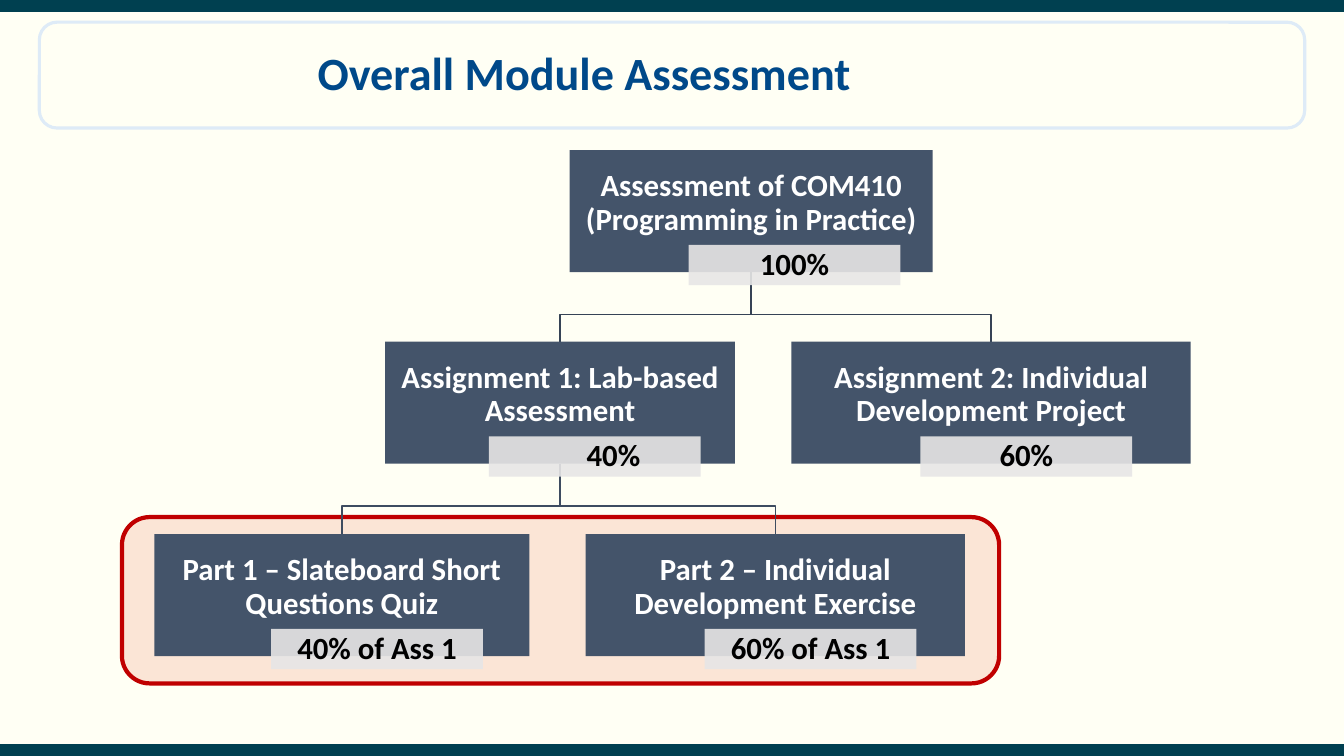
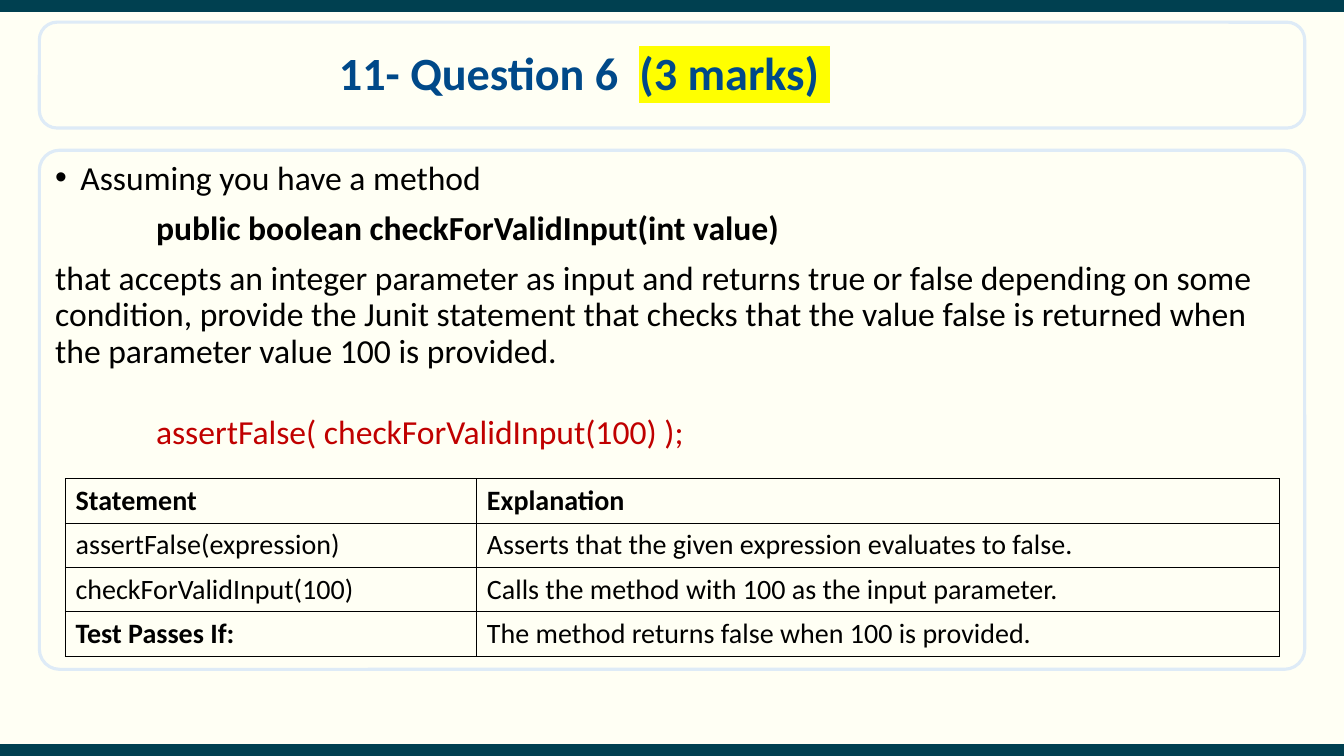
"""Build two teaching slides: an assessment tree and an exam question."""
import dataclasses

import lxml.etree
import pptx
import pptx.dml.color
import pptx.enum.shapes
import pptx.enum.text
import pptx.oxml.ns
import pptx.util

Inches = pptx.util.Inches
Pt = pptx.util.Pt
qn = pptx.oxml.ns.qn
SubElement = lxml.etree.SubElement
Shapes = pptx.enum.shapes.MSO_SHAPE
Align = pptx.enum.text.PP_ALIGN
Anchor = pptx.enum.text.MSO_ANCHOR


@dataclasses.dataclass(frozen=True)
class Theme:
    font: str = "Calibri"
    background: str = "FFFFF4"
    band: str = "004050"
    frame: str = "DEEBF7"
    title: str = "004989"
    text: str = "000000"
    accent: str = "C00000"
    highlight: str = "FFFF00"
    box: str = "44546A"
    box_text: str = "FFFFFF"
    weight: str = "E7E6E6"
    panel: str = "FBE5D6"
    branches: tuple = ("364355", "3E4C60")
    title_size: int = 33
    body_size: int = 24
    box_size: int = 22
    table_size: int = 20


THEME = Theme()
WIDTH, HEIGHT = 13.33, 7.5
BAND_CENTRES = (0.06, HEIGHT - 0.06)
FRAME = (0.39, 0.22, 12.55, 1.05)
TITLE = (0.39, 0.22, 10.81, 1.05)
BODY = (0.39, 1.49, 12.55, 5.15)
PANEL = (1.21, 5.13, 8.7, 1.65)

LEVEL_TOPS = (1.49, 3.39, 5.3)
BOX_HEIGHT = 1.21
WEIGHT_SIZE = (2.1, 0.4)
WEIGHT_DROP = 0.94
BRANCH_DROP = 0.42

ASSESSMENTS = {
    "module": dict(parent=None, level=0, left=5.65, width=3.6, weight_left=6.83, weight="100%",
                   text="Assessment of COM410 (Programming in Practice)"),
    "lab": dict(parent="module", level=1, left=3.82, width=3.47, weight_left=4.85, weight="40%",
                text="Assignment 1: Lab-based Assessment", weight_inset=0.6),
    "quiz": dict(parent="lab", level=2, left=1.53, width=3.72, weight_left=2.69,
                 weight="40% of Ass 1", text="Part 1 – Slateboard Short Questions Quiz"),
    "exercise": dict(parent="lab", level=2, left=5.81, width=3.76, weight_left=6.99,
                     weight="60% of Ass 1", text="Part 2 – Individual Development Exercise"),
    "project": dict(parent="module", level=1, left=7.85, width=3.96, weight_left=9.13, weight="60%",
                    text="Assignment 2: Individual Development Project"),
}

QUESTION = [
    dict(text="Assuming you have a method", margin=0.25, bullet="•"),
    dict(text="public boolean checkForValidInput(int value)", margin=1, bold=True),
    dict(text="that accepts an integer parameter as input and returns true or false depending on some "
              "condition, provide the Junit statement that checks that the value false is returned when "
              "the parameter value 100 is provided."),
    dict(text="assertFalse( checkForValidInput(100) );", margin=1, before=32, color=THEME.accent),
]

TABLE_PLACE = (0.65, 4.75)
TABLE_COLUMNS = (4.08, 7.96)
TABLE_ROW_HEIGHT = 0.44
TABLE_ROWS = [
    ("Statement", "Explanation"),
    ("assertFalse(expression)", "Asserts that the given expression evaluates to false."),
    ("checkForValidInput(100)", "Calls the method with 100 as the input parameter."),
    ("Test Passes If:", "The method returns false when 100 is provided."),
]
BOLD_CELLS = {(0, 0), (0, 1), (3, 0)}


def rgb(color):
    return pptx.dml.color.RGBColor.from_string(color)


def set_line(line, color, width):
    line.color.rgb = rgb(color)
    line.width = Pt(width)


def add_run(paragraph, text, size, color, bold=False, highlight=None):
    run = paragraph.add_run()
    run.text = text
    run.font.size = Pt(size)
    run.font.bold = bold
    run.font.color.rgb = rgb(color)
    run.font.name = THEME.font
    if highlight:
        properties = run.font._element
        marker = lxml.etree.Element(qn("a:highlight"))
        SubElement(marker, qn("a:srgbClr"), val=highlight)
        properties.find(qn("a:solidFill")).addnext(marker)


def add_box(slide, place, kind=Shapes.RECTANGLE, fill=None, line=None, line_width=2.25):
    shape = slide.shapes.add_shape(kind, *map(Inches, place))
    shape.shadow.inherit = False
    if fill:
        shape.fill.solid()
        shape.fill.fore_color.rgb = rgb(fill)
    else:
        shape.fill.background()
    if line:
        set_line(shape.line, line, line_width)
    else:
        shape.line.fill.background()
    return shape


def set_frame(shape, margins, anchor=Anchor.MIDDLE):
    frame = shape.text_frame
    frame.word_wrap = True
    frame.vertical_anchor = anchor
    frame.margin_left, frame.margin_top, frame.margin_right, frame.margin_bottom = map(Inches, margins)
    paragraph = frame.paragraphs[0]
    paragraph.alignment = Align.CENTER
    paragraph.line_spacing = 0.9
    return paragraph


def add_slide(presentation, title_runs):
    slide = presentation.slides.add_slide(presentation.slide_layouts[6])
    add_box(slide, FRAME, Shapes.ROUNDED_RECTANGLE, line=THEME.frame)
    for centre in BAND_CENTRES:
        band = slide.shapes.add_connector(
            pptx.enum.shapes.MSO_CONNECTOR.STRAIGHT, 0, Inches(centre), Inches(WIDTH), Inches(centre))
        set_line(band.line, THEME.band, 9)
        SubElement(band._element.spPr, qn("a:effectLst"))
    title = slide.shapes.add_textbox(*map(Inches, TITLE))
    paragraph = set_frame(title, (0.1, 0.05, 0.1, 0.05))
    for text, highlight in title_runs:
        add_run(paragraph, text, THEME.title_size, THEME.title, True, highlight)
    return slide


def add_branch(slide, parent, child):
    start_x, end_x = (item["left"] + item["width"] / 2 for item in (parent, child))
    start_y = LEVEL_TOPS[parent["level"]] + BOX_HEIGHT
    turn_y = start_y + BRANCH_DROP
    points = [(start_x, turn_y), (end_x, turn_y), (end_x, LEVEL_TOPS[child["level"]])]
    builder = slide.shapes.build_freeform(Inches(start_x), Inches(start_y))
    builder.add_line_segments([(Inches(x), Inches(y)) for x, y in points], close=False)
    branch = builder.convert_to_shape()
    branch.shadow.inherit = False
    branch.fill.background()
    set_line(branch.line, THEME.branches[parent["level"]], 1)


def add_assessment(slide, item):
    top = LEVEL_TOPS[item["level"]]
    box = add_box(slide, (item["left"], top, item["width"], BOX_HEIGHT), fill=THEME.box)
    paragraph = set_frame(box, (0.02, 0.02, 0.02, 0.17))
    add_run(paragraph, item["text"], THEME.box_size, THEME.box_text, True)

    weight = add_box(slide, (item["weight_left"], top + WEIGHT_DROP, *WEIGHT_SIZE), fill=THEME.weight)
    color = weight._element.spPr.find(qn("a:solidFill")).find(qn("a:srgbClr"))
    SubElement(color, qn("a:alpha"), val="90000")
    inset = item.get("weight_inset", 0.06)
    paragraph = set_frame(weight, (0.06, 0.02, inset, 0.02))
    if "weight_inset" in item:
        paragraph.alignment = Align.RIGHT
    add_run(paragraph, item["weight"], THEME.box_size, THEME.text, True)


def add_question(slide):
    body = add_box(slide, BODY, Shapes.ROUNDED_RECTANGLE, line=THEME.frame)
    body.adjustments[0] = 0.039
    paragraph = set_frame(body, (0.1, 0.05, 0.1, 0.05), Anchor.TOP)
    for index, item in enumerate(QUESTION):
        if index:
            paragraph = body.text_frame.add_paragraph()
        paragraph.alignment = Align.LEFT
        paragraph.line_spacing = 0.9
        paragraph.space_before = Pt(item.get("before", 10))
        properties = paragraph._element.get_or_add_pPr()
        margin = Inches(item.get("margin", 0))
        properties.set("marL", str(margin))
        if "bullet" in item:
            properties.set("indent", str(-margin))
            SubElement(properties, qn("a:buFont"), typeface="Arial")
            SubElement(properties, qn("a:buChar"), char=item["bullet"])
        add_run(paragraph, item["text"], THEME.body_size, item.get("color", THEME.text),
                item.get("bold", False))


def set_borders(cell):
    properties = cell._tc.get_or_add_tcPr()
    for position, side in enumerate(("lnL", "lnR", "lnT", "lnB")):
        border = lxml.etree.Element(qn(f"a:{side}"), w=str(Pt(1)))
        fill = SubElement(border, qn("a:solidFill"))
        SubElement(fill, qn("a:srgbClr"), val=THEME.text)
        properties.insert(position, border)


def add_explanations(slide):
    size = (sum(TABLE_COLUMNS), TABLE_ROW_HEIGHT * len(TABLE_ROWS))
    table = slide.shapes.add_table(
        len(TABLE_ROWS), len(TABLE_COLUMNS), *map(Inches, TABLE_PLACE + size)).table
    table.first_row = False
    table.horz_banding = False
    for column, width in zip(table.columns, TABLE_COLUMNS):
        column.width = Inches(width)
    for row_index, row in enumerate(TABLE_ROWS):
        table.rows[row_index].height = Inches(TABLE_ROW_HEIGHT)
        for column_index, text in enumerate(row):
            cell = table.cell(row_index, column_index)
            cell.fill.background()
            cell.vertical_anchor = Anchor.MIDDLE
            set_borders(cell)
            add_run(cell.text_frame.paragraphs[0], text, THEME.table_size, THEME.text,
                    (row_index, column_index) in BOLD_CELLS)


def build_assessment_slide(presentation):
    slide = add_slide(presentation, [("Overall Module Assessment", None)])
    add_box(slide, PANEL, Shapes.ROUNDED_RECTANGLE, THEME.panel, THEME.accent, 3)
    for item in ASSESSMENTS.values():
        if item["parent"]:
            add_branch(slide, ASSESSMENTS[item["parent"]], item)
    for item in ASSESSMENTS.values():
        add_assessment(slide, item)


def build_question_slide(presentation):
    slide = add_slide(presentation, [("11- Question 6  ", None), ("(3 marks) ", THEME.highlight)])
    add_question(slide)
    add_explanations(slide)


def main():
    presentation = pptx.Presentation()
    presentation.slide_width = Inches(WIDTH)
    presentation.slide_height = Inches(HEIGHT)
    background = presentation.slide_master.background.fill
    background.solid()
    background.fore_color.rgb = rgb(THEME.background)
    build_assessment_slide(presentation)
    build_question_slide(presentation)
    presentation.save("out.pptx")


if __name__ == "__main__":
    main()
